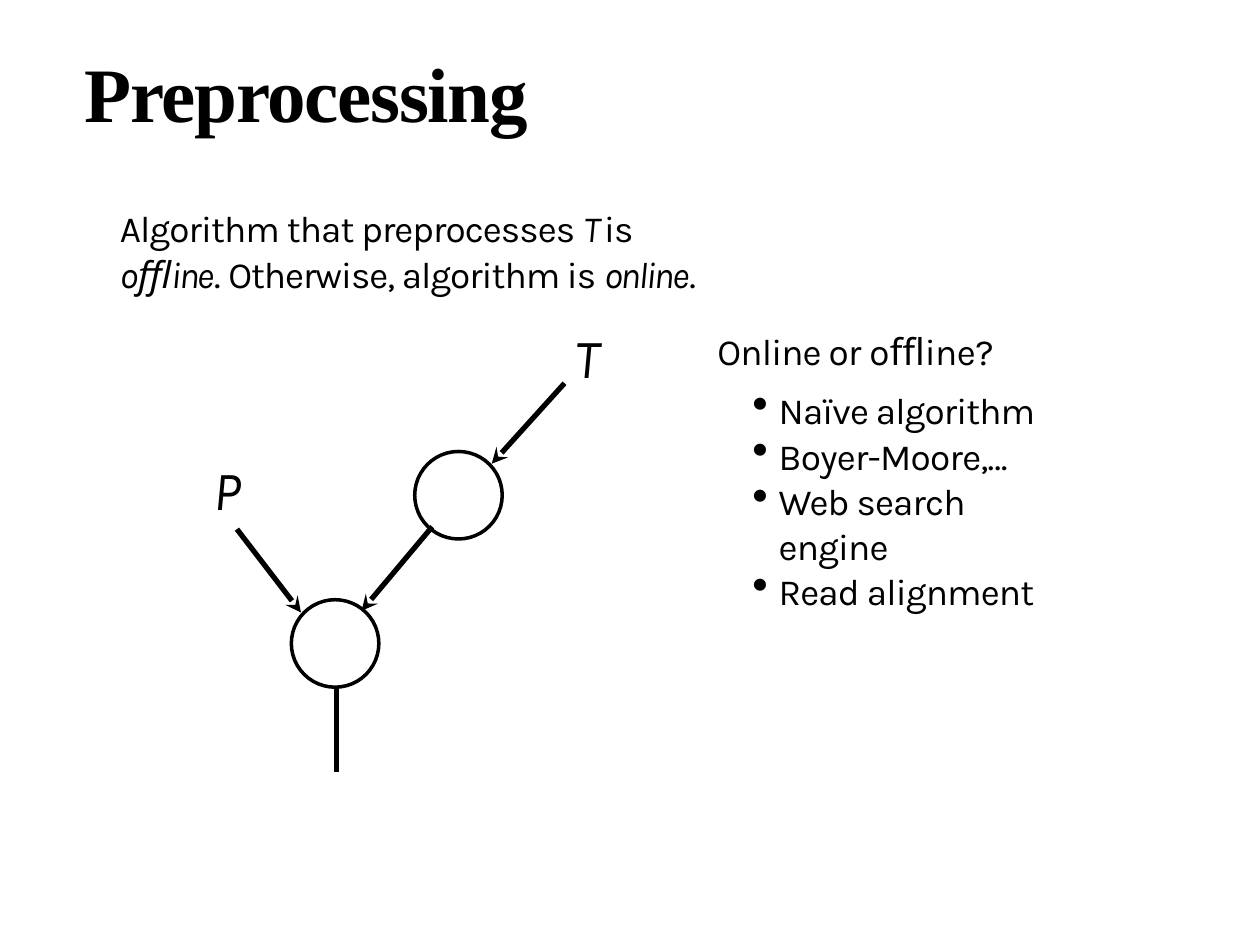
from dataclasses import dataclass

from lxml import etree
from pptx import Presentation
from pptx.dml.color import RGBColor
from pptx.enum.shapes import MSO_CONNECTOR, MSO_SHAPE
from pptx.enum.text import MSO_ANCHOR
from pptx.oxml.ns import qn
from pptx.util import Pt

OVAL = MSO_SHAPE.OVAL
STRAIGHT = MSO_CONNECTOR.STRAIGHT
TOP, MIDDLE = MSO_ANCHOR.TOP, MSO_ANCHOR.MIDDLE


@dataclass(frozen=True)
class Theme:
    black: RGBColor = RGBColor(0, 0, 0)
    white: RGBColor = RGBColor(255, 255, 255)
    title_font: str = "Times New Roman"
    body_font: str = "Karla"
    title_size: float = 44
    label_size: float = 31.6
    body_size: float = 21.1


theme = Theme()


def add_text(box, paragraphs, *, font=theme.body_font, size=theme.body_size,
             bold=False, anchor=TOP, line_spacing=1.0):
    """Write paragraphs, each (runs, space before, bulleted); a run is (text, tracking, italic)."""
    tf = slide.shapes.add_textbox(*map(Pt, box)).text_frame
    tf.word_wrap = True
    tf.vertical_anchor = anchor
    tf.margin_left = tf.margin_top = tf.margin_right = tf.margin_bottom = 0
    for i, (runs, before, bulleted) in enumerate(paragraphs):
        p = tf.add_paragraph() if i else tf.paragraphs[0]
        p.line_spacing = line_spacing
        if before:
            p.space_before = Pt(before)
        if bulleted:
            pPr = p._p.get_or_add_pPr()
            pPr.set("marL", str(Pt(35)))
            pPr.set("indent", str(Pt(-15)))
            etree.SubElement(pPr, qn("a:buSzPct"), val="125000")
            etree.SubElement(pPr, qn("a:buChar"), char="•")
        for text, tracking, italic in runs:
            r = p.add_run()
            r.text = text
            r.font.name, r.font.size = font, Pt(size)
            r.font.bold, r.font.italic = bold, italic
            r.font.color.rgb = theme.black
            r._r.get_or_add_rPr().set("spc", str(round(tracking * 100)))


prs = Presentation()
prs.slide_width, prs.slide_height = Pt(720), Pt(540)
slide = prs.slides.add_slide(prs.slide_layouts[6])

add_text((48.5, 25.5, 396, 54), [([("Preprocessing", -0.8, False)], 0, False)],
         font=theme.title_font, size=theme.title_size, bold=True, anchor=MIDDLE)

# Tree: two nodes, a stem below and the inputs P and T above
NODE = 50
for left, top, filled in ((166.5, 342.7, False), (237, 258, True)):
    sp = slide.shapes.add_shape(OVAL, Pt(left), Pt(top), Pt(NODE), Pt(NODE))
    sp.shadow.inherit = False
    if filled:
        sp.fill.solid()
        sp.fill.fore_color.rgb = theme.white
    else:
        sp.fill.background()
    sp.line.color.rgb = theme.black
    sp.line.width = Pt(2)

edges = [
    (192.2, 393, 192.2, 441.4, False),
    (247, 301, 206.7, 349, True),
    (135.4, 302.4, 172, 350, True),
    (322.6, 219, 281, 265, True),
]
for x1, y1, x2, y2, arrow in edges:
    edge = slide.shapes.add_connector(STRAIGHT, Pt(x1), Pt(y1), Pt(x2), Pt(y2))
    edge.line.color.rgb = theme.black
    edge.line.width = Pt(3)
    if arrow:
        etree.SubElement(edge.line._get_or_add_ln(), qn("a:tailEnd"), type="stealth")
    etree.SubElement(edge._element.spPr, qn("a:effectLst"))

for label, left, top in (("T", 328.5, 184.5), ("P", 122, 260)):
    add_text((left, top, 24, 38), [([(label, 0, True)], 0, False)], size=theme.label_size)

definition = [
    ("Algorithm that preprocesses ", -0.55, False),
    ("T ", -2.2, True),
    ("is ", -0.6, False),
    ("o", -0.3, True),
    ("ﬄ", -1.9, True),
    ("ine", -1.2, True),
    (". ", -0.7, False),
    ("Otherwise, algorithm is ", -0.6, False),
    ("online", -1.1, True),
    (".", 0, False),
]
add_text((68.5, 117, 346, 51), [(definition, 0, False)], line_spacing=1.03)

question = [("Online or ", -0.5, False), ("o", 0.2, False),
            ("ﬄ", -2.2, False), ("ine?", -0.3, False)]
examples = [("Naïve algorithm", -0.55), ("Boyer-Moore,…", -0.4),
            ("Web search engine", -0.5), ("Read alignment", -0.5)]
answers = [([(text, tracking, False)], 0.7 if i else 8.8, True)
           for i, (text, tracking) in enumerate(examples)]
add_text((410, 187.5, 194, 140), [(question, 0, False)] + answers)

prs.save("out.pptx")
